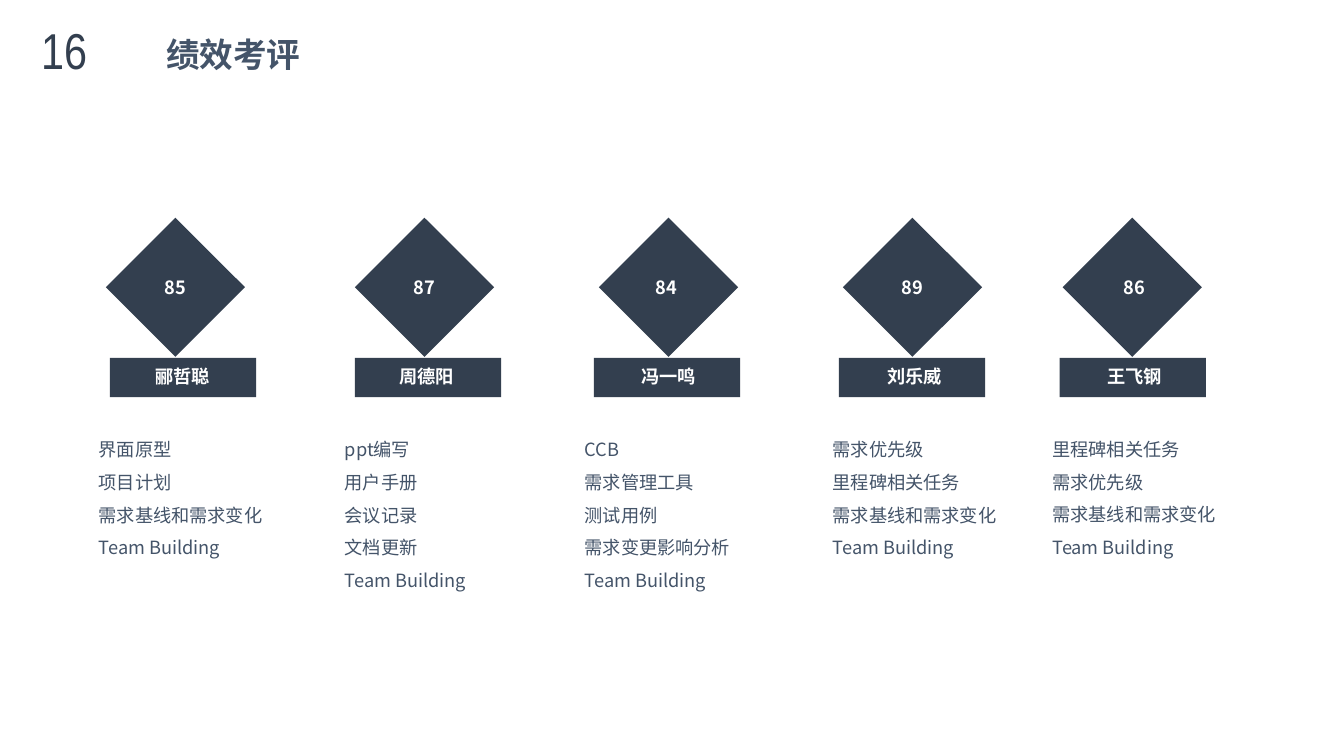
from lxml import etree
from pptx import Presentation
from pptx import util as u
from pptx.dml.color import RGBColor
from pptx.enum import shapes, text
from pptx.oxml import ns

PX = 9144  # 100 px to the inch
HUE = {"navy": "333F4F", "slate": "445469", "white": "FFFFFF"}
SANS = "Noto Sans CJK SC"
NARROW = "Arial Narrow"
KIND = shapes.MSO_SHAPE
ALIGN = text.PP_ALIGN
ANCHOR = text.MSO_ANCHOR

# name, score, tasks, then left edges: diamond, score, bar, name, list
TEAM = [
    ("郦哲聪", "85", ["界面原型", "项目计划", "需求基线和需求变化", "Team Building"],
     (105, 137, 109, 144, 88)),
    ("周德阳", "87", ["ppt编写", "用户手册", "会议记录", "文档更新", "Team Building"],
     (352, 384, 352, 386, 332)),
    ("冯一鸣", "84", ["CCB", "需求管理工具", "测试用例", "需求变更影响分析", "Team Building"],
     (594, 624, 589, 626, 570)),
    ("刘乐威", "89", ["需求优先级", "里程碑相关任务", "需求基线和需求变化", "Team Building"],
     (836, 868, 832, 870, 816)),
    ("王飞钢", "86", ["里程碑相关任务", "需求优先级", "需求基线和需求变化", "Team Building"],
     (1054, 1088, 1051, 1088, 1034)),
]


def emu(*px):
    return [u.Emu(n * PX) for n in px]


def place(shape, *box):
    shape.left, shape.top, shape.width, shape.height = emu(*box)


def write(shape, lines, size=13, font=SANS, color="white", bold=False,
          align=ALIGN.CENTER, anchor=ANCHOR.MIDDLE, space=1.0, wrap=True, inset=None):
    frame = shape.text_frame
    frame.text = "\n".join(lines)
    frame.word_wrap = wrap
    frame.auto_size = text.MSO_AUTO_SIZE.NONE
    frame.vertical_anchor = anchor
    if inset is not None:
        frame.margin_left = frame.margin_right = u.Emu(inset * PX)
        frame.margin_top = frame.margin_bottom = u.Emu(inset * PX)
    for para in frame.paragraphs:
        para.alignment = align
        para.line_spacing = space
        para.space_before = para.space_after = u.Pt(0)
        props = para._p.get_or_add_pPr()
        props.set("marL", "0")
        props.set("indent", "0")
        etree.SubElement(props, ns.qn("a:buNone"))
        for run in para.runs:
            run.font.size = u.Pt(size)
            run.font.bold = bold
            run.font.name = font
            run.font.color.rgb = RGBColor.from_string(HUE[color])
            east = etree.SubElement(run._r.get_or_add_rPr(), ns.qn("a:ea"))
            east.set("typeface", font)


def block(home, kind, *box):
    shape = home.add_shape(kind, *emu(*box))
    shape.shadow.inherit = False
    shape.fill.solid()
    shape.fill.fore_color.rgb = RGBColor.from_string(HUE["navy"])
    shape.line.fill.background()
    return shape


def member(slide, holder, name, score, tasks, lefts):
    gem, mark, bar, tag, todo = lefts
    # Score in its diamond
    block(slide.shapes, KIND.DIAMOND, gem, 216, 138, 138)
    write(block(slide.shapes, KIND.RECTANGLE, mark, 269, 74, 32), [score], bold=True)
    # Name on its bar
    group = slide.shapes.add_group_shape().shapes
    block(group, KIND.RECTANGLE, bar, 355, 145, 39)
    write(block(group, KIND.RECTANGLE, tag, 357, 74, 32), [name], bold=True, wrap=False)
    # Task list
    place(holder, todo, 419, 182, 174)
    write(holder, tasks, color="slate", align=ALIGN.JUSTIFY, anchor=ANCHOR.TOP, space=1.5)


def main():
    deck = Presentation()
    deck.slide_width, deck.slide_height = emu(1333, 750)
    # The comparison layout has a title and four bodies
    slide = deck.slides.add_slide(deck.slide_layouts[4])
    title, *bodies = slide.placeholders

    # Heading
    place(title, 108, 29, 247, 50)
    write(title, ["绩效考评"], size=24, font=NARROW, color="slate", bold=True)
    number = slide.shapes.add_textbox(*emu(29, 19, 69, 61))
    write(number, ["16"], size=36, font=NARROW, color="navy", anchor=ANCHOR.TOP, inset=0)

    # Team columns, the fifth list in a text box
    bodies.append(slide.shapes.add_textbox(*emu(0, 0, 182, 174)))
    for holder, person in zip(bodies, TEAM):
        member(slide, holder, *person)

    deck.save("out.pptx")


if __name__ == "__main__":
    main()
